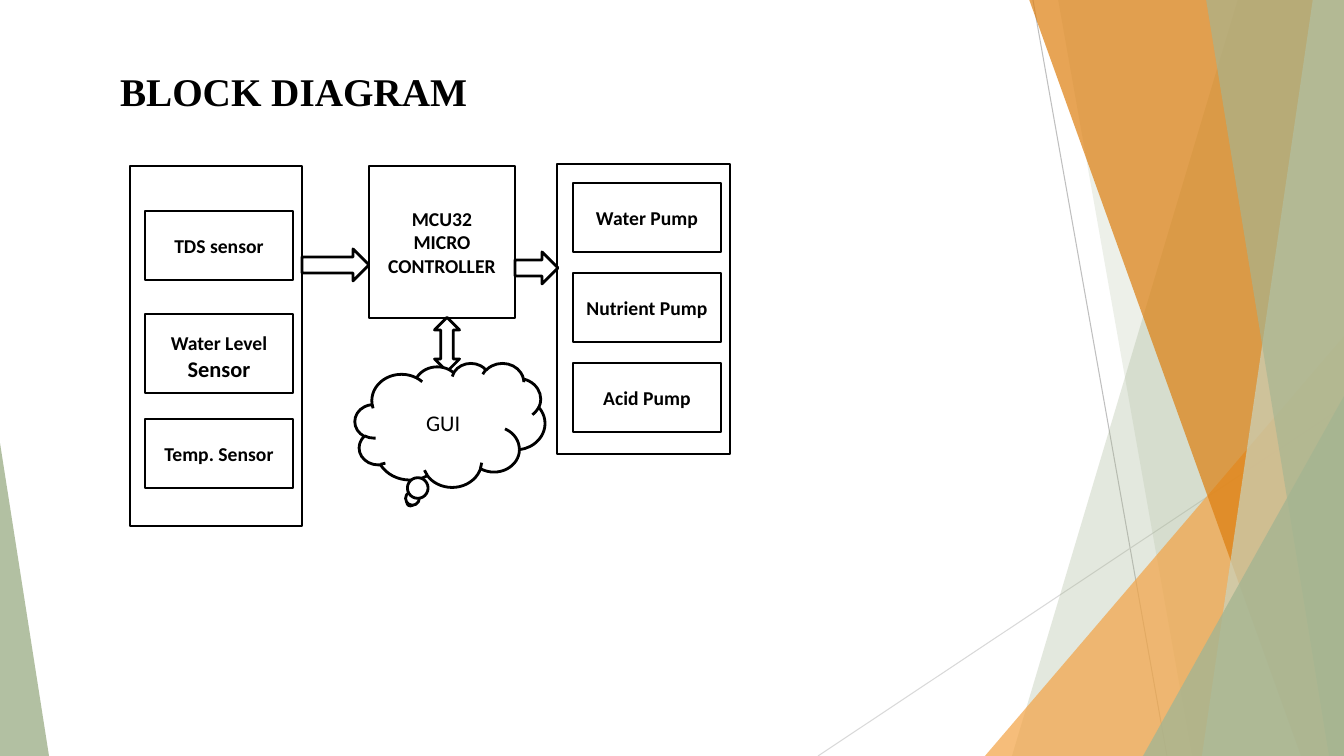
"""Build the block diagram slide for a nutrient dosing controller."""
from lxml.etree import SubElement
from pptx import Presentation
from pptx.dml.color import RGBColor
from pptx.enum.shapes import MSO_CONNECTOR, MSO_SHAPE
from pptx.enum.text import MSO_ANCHOR, PP_ALIGN
from pptx.oxml.ns import qn
from pptx.util import Emu, Pt

WIDTH, HEIGHT = 1344, 756
SCALE = 12192000 / WIDTH
BLACK, WHITE = "000000", "FFFFFF"
GREEN = "A5B592"


def px(n):
    return Emu(round(n * SCALE))


def rgb(color):
    return RGBColor.from_string(color)


def add_text(p, text, size=14, font="Calibri", bold=True, color=BLACK,
             align=PP_ALIGN.CENTER):
    p.alignment = align
    r = p.add_run()
    r.text = text
    r.font.size = Pt(size)
    r.font.name = font
    r.font.bold = bold
    r.font.color.rgb = rgb(color)


def add_title(s, text):
    sp = s.shapes.title
    sp.left, sp.top, sp.width, sp.height = px(110), px(62), px(443), px(58)
    tf = sp.text_frame
    tf.word_wrap = True
    tf.vertical_anchor = MSO_ANCHOR.MIDDLE
    add_text(tf.paragraphs[0], text, size=28, font="Times New Roman",
             align=PP_ALIGN.LEFT)


def tint(sp, color, opacity):
    sp.shadow.inherit = False
    sp.fill.solid()
    sp.fill.fore_color.rgb = rgb(color)
    sp.line.fill.background()
    clr = sp.fill._xPr.find(qn("a:solidFill"))[0]
    SubElement(clr, qn("a:alpha")).set("val", str(opacity * 1000))


def add_band(s, top_x, bottom_x, color, opacity):
    builder = s.shapes.build_freeform(top_x, -1, scale=SCALE)
    builder.add_line_segments(
        [(WIDTH, -1), (WIDTH, HEIGHT), (bottom_x, HEIGHT)], close=True)
    tint(builder.convert_to_shape(), color, opacity)


def add_corner(s, x, y, w, apex, color, opacity):
    sp = s.shapes.add_shape(MSO_SHAPE.ISOSCELES_TRIANGLE,
                            px(x), px(y), px(w), px(HEIGHT - y))
    sp.adjustments[0] = apex
    tint(sp, color, opacity)


def add_line(s, x1, y1, x2, y2, color):
    line = s.shapes.add_connector(MSO_CONNECTOR.STRAIGHT,
                                  px(x1), px(y1), px(x2), px(y2))
    line.line.color.rgb = rgb(color)
    line.line.width = Pt(0.75)
    SubElement(line._element.spPr, qn("a:effectLst"))


def add_block(s, x, y, w, h, paragraphs=(), kind=MSO_SHAPE.RECTANGLE, **fmt):
    """Add an outlined shape; each paragraph is a list of (text, size) runs."""
    sp = s.shapes.add_shape(kind, px(x), px(y), px(w), px(h))
    sp.shadow.inherit = False
    sp.fill.solid()
    sp.fill.fore_color.rgb = rgb(WHITE)
    sp.line.color.rgb = rgb(BLACK)
    sp.line.width = Pt(2)
    tf = sp.text_frame
    tf.word_wrap = True
    tf.vertical_anchor = MSO_ANCHOR.MIDDLE
    for i, runs in enumerate(paragraphs):
        p = tf.add_paragraph() if i else tf.paragraphs[0]
        for text, size in runs:
            add_text(p, text, size=size, **fmt)
    return sp


def add_backdrop(s):
    add_line(s, 1033, 0, 1167, HEIGHT, "BFBFBF")
    add_line(s, WIDTH, 406, 818, HEIGHT, "D9D9D9")
    add_band(s, 1238, 1012, GREEN, 30)
    add_band(s, 1058, 1192, GREEN, 20)
    add_corner(s, 985, 336, 359, 1, "F3A447", 72)
    add_band(s, 1029, 1301, "DD7E0E", 70)
    add_band(s, 1313, 1202, "C9D3BE", 70)
    add_band(s, 1206, 1329, GREEN, 65)
    add_corner(s, 1143, 396, 201, 1, GREEN, 80)
    add_corner(s, 0, 443, 49, 0, GREEN, 85)


def add_diagram(s):
    add_block(s, 130, 166, 172, 360)
    add_block(s, 369, 166, 146, 152,
              [[(t, 14)] for t in ("MCU32", "MICRO", "CONTROLLER")])
    sensors = [
        (211, 69, [("TDS sensor", 14)]),
        (314, 79, [("Water Level", 14), (" ", 18), ("Sensor", 16)]),
        (419, 69, [("Temp. Sensor", 14)]),
    ]
    for y, h, runs in sensors:
        add_block(s, 145, y, 148, h, [runs])

    add_block(s, 557, 164, 173, 290)
    for i, pump in enumerate(("Water Pump", "Nutrient Pump", "Acid Pump")):
        add_block(s, 573, 183 + 90 * i, 148, 69, [[(pump, 14)]])

    link = add_block(s, 420, 332, 54, 25, kind=MSO_SHAPE.LEFT_RIGHT_ARROW)
    link.rotation = 90
    add_block(s, 355, 363, 190, 124, [[("GUI", 16)]],
              kind=MSO_SHAPE.CLOUD_CALLOUT, bold=False)
    for x, y, w in ((302, 249, 67), (515, 252, 43)):
        add_block(s, x, y, w, 32, kind=MSO_SHAPE.RIGHT_ARROW)


def main():
    prs = Presentation()
    prs.slide_width, prs.slide_height = px(WIDTH), px(HEIGHT)
    s = prs.slides.add_slide(prs.slide_layouts[5])
    add_backdrop(s)
    add_title(s, "BLOCK DIAGRAM")
    add_diagram(s)
    prs.save("out.pptx")


if __name__ == "__main__":
    main()
